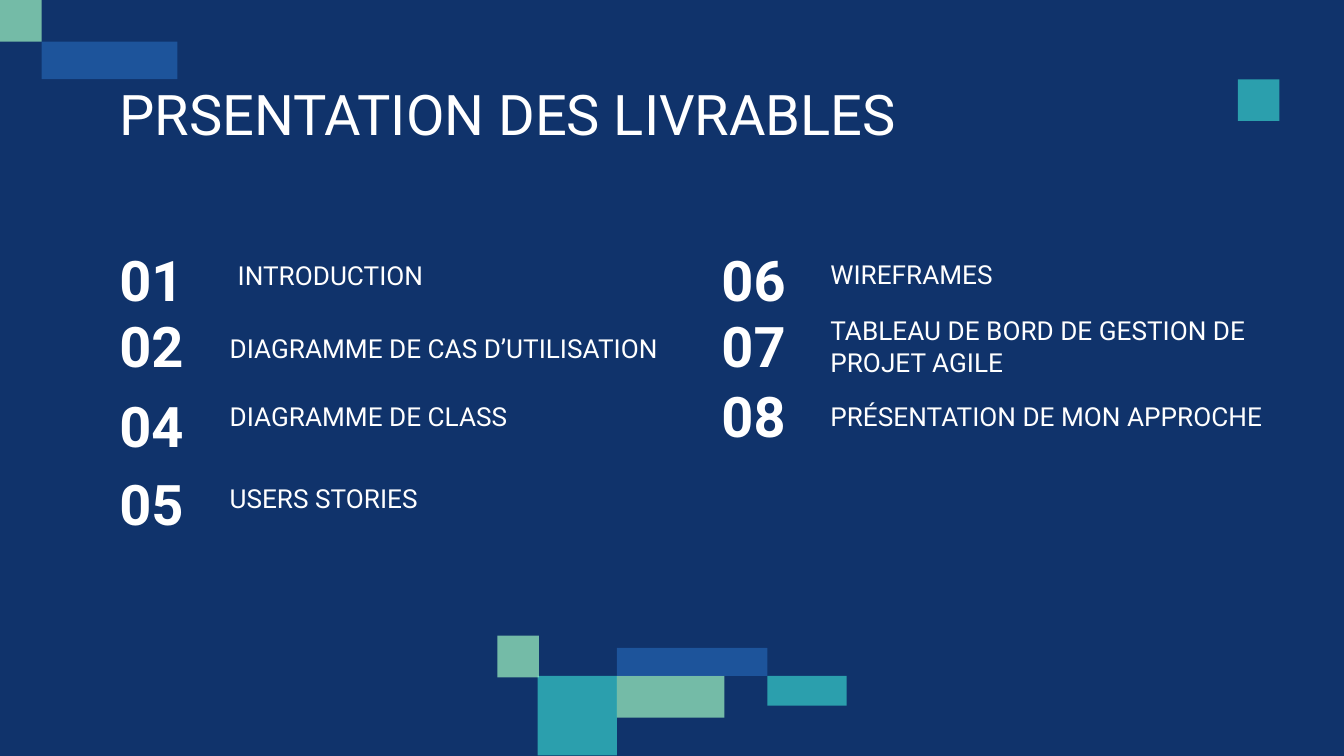
"""Build the agenda slide that lists the project deliverables."""
from typing import NamedTuple

from lxml.etree import SubElement
from pptx import Presentation
from pptx.dml.color import RGBColor
from pptx.enum.shapes import MSO_SHAPE
from pptx.enum.text import MSO_ANCHOR
from pptx.oxml.ns import qn
from pptx.slide import Slide
from pptx.util import Inches, Pt

NAVY = RGBColor(0x10, 0x33, 0x6B)
BLUE = RGBColor(0x23, 0x61, 0xAE)
TEAL = RGBColor(0x35, 0xC4, 0xC4)
MINT = RGBColor(0xA4, 0xFC, 0xC4)
WHITE = RGBColor(0xFF, 0xFF, 0xFF)

OPACITY = {BLUE: 72, TEAL: 75, MINT: 68}
HEADING = {"name": "Roboto", "size": Pt(30), "bold": False}
NUMBER = {"name": "Roboto", "size": Pt(30), "bold": True}
LABEL = {"name": "Roboto", "size": Pt(14), "bold": False}

SLIDE_WIDTH = Inches(10)
SLIDE_HEIGHT = SLIDE_WIDTH * 9 // 16
LEFT_NUMBERS, RIGHT_NUMBERS = 0.79, 5.27
LEFT_LABELS, RIGHT_LABELS = 1.61, 6.08
NUMBER_WIDTH, ROW_HEIGHT = 0.8, 0.49
SQUARE = 0.31


class Tile(NamedTuple):
    left: float
    top: float
    width: float
    height: float
    color: RGBColor


class Entry(NamedTuple):
    number: str
    label: str
    number_left: float
    number_top: float
    label_left: float
    label_top: float
    label_width: float


TILES = [
    Tile(4, 5.03, 0.59, 0.59, TEAL),
    Tile(5.71, 5.03, 0.59, 0.22, TEAL),
    Tile(4.59, 5.03, 0.8, SQUARE, MINT),
    Tile(SQUARE, SQUARE, 1.01, 0.28, BLUE),
    Tile(9.21, 0.59, SQUARE, SQUARE, TEAL),
    Tile(0, 0, SQUARE, SQUARE, MINT),
    Tile(4.59, 4.82, 1.12, 0.21, BLUE),
    Tile(3.7, 4.73, SQUARE, SQUARE, MINT),
]

ENTRIES = [
    Entry("01", "INTRODUCTION", LEFT_NUMBERS, 1.83, 1.67, 1.83, 3.05),
    Entry("02", "DIAGRAMME DE CAS D’UTILISATION", LEFT_NUMBERS, 2.32, LEFT_LABELS, 2.37, 3.49),
    Entry("04", "DIAGRAMME DE CLASS", LEFT_NUMBERS, 2.92, LEFT_LABELS, 2.88, 3.05),
    Entry("05", "USERS STORIES", LEFT_NUMBERS, 3.5, LEFT_LABELS, 3.49, 3.05),
    Entry("06", "WIREFRAMES", RIGHT_NUMBERS, 1.83, RIGHT_LABELS, 1.82, 3.05),
    Entry("07", "TABLEAU DE BORD DE GESTION DE PROJET AGILE", RIGHT_NUMBERS, 2.32,
          RIGHT_LABELS, 2.24, 3.92),
    Entry("08", "PRÉSENTATION DE MON APPROCHE", RIGHT_NUMBERS, 2.84, RIGHT_LABELS, 2.88, 3.92),
]


def draw_tile(slide: Slide, tile: Tile) -> None:
    rectangle = slide.shapes.add_shape(MSO_SHAPE.RECTANGLE, *map(Inches, tile[:4]))
    rectangle.shadow.inherit = False
    rectangle.line.fill.background()
    rectangle.fill.solid()
    rectangle.fill.fore_color.rgb = tile.color
    color_element = rectangle.fill._xPr.find(qn("a:solidFill"))[0]
    SubElement(color_element, qn("a:alpha"), val=str(OPACITY[tile.color] * 1000))


def draw_text(slide: Slide, wording: str, left: float, top: float, width: float,
              height: float, style: dict, anchor: MSO_ANCHOR = MSO_ANCHOR.TOP) -> None:
    box = slide.shapes.add_textbox(*map(Inches, (left, top, width, height)))
    frame = box.text_frame
    frame.word_wrap = True
    frame.vertical_anchor = anchor
    for side in ("left", "top", "right", "bottom"):
        setattr(frame, f"margin_{side}", Inches(0.1))
    run = frame.paragraphs[0].add_run()
    run.text = wording
    for attribute, value in style.items():
        setattr(run.font, attribute, value)
    run.font.color.rgb = WHITE


def draw_entry(slide: Slide, entry: Entry) -> None:
    draw_text(slide, entry.number, entry.number_left, entry.number_top,
              NUMBER_WIDTH, ROW_HEIGHT, NUMBER, MSO_ANCHOR.MIDDLE)
    draw_text(slide, entry.label, entry.label_left, entry.label_top,
              entry.label_width, ROW_HEIGHT, LABEL)


def main() -> None:
    deck = Presentation()
    deck.slide_width, deck.slide_height = SLIDE_WIDTH, SLIDE_HEIGHT
    agenda = deck.slides.add_slide(deck.slide_layouts[6])
    agenda.background.fill.solid()
    agenda.background.fill.fore_color.rgb = NAVY
    for tile in TILES:
        draw_tile(agenda, tile)
    draw_text(agenda, "PRSENTATION DES LIVRABLES", 0.79, 0.49, 8.43, 0.63, HEADING)
    for entry in ENTRIES:
        draw_entry(agenda, entry)
    deck.save("out.pptx")


if __name__ == "__main__":
    main()
